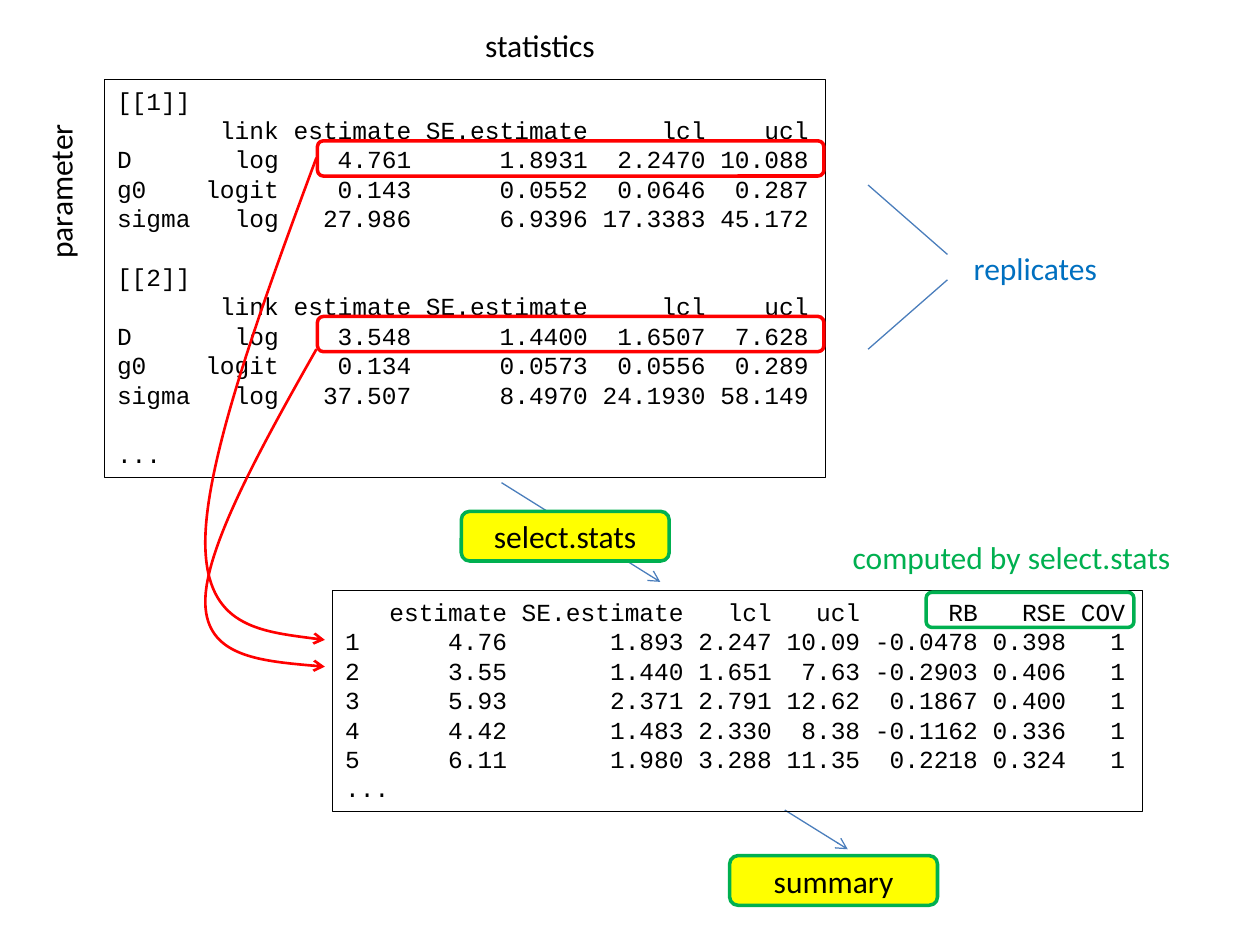
"""Build a slide showing how select.stats and summary condense simulation output."""
from lxml import etree
from pptx import Presentation
from pptx.dml.color import RGBColor
from pptx.enum.shapes import MSO_CONNECTOR, MSO_SHAPE
from pptx.enum.text import MSO_ANCHOR, PP_ALIGN
from pptx.oxml.ns import qn
from pptx.util import Cm, Pt

RECT, ROUND = MSO_SHAPE.RECTANGLE, MSO_SHAPE.ROUNDED_RECTANGLE
LINE, MID = MSO_CONNECTOR.STRAIGHT, MSO_ANCHOR.MIDDLE
LEFT, CENTER = PP_ALIGN.LEFT, PP_ALIGN.CENTER
HUES = {"ink": "000000", "red": "FF0000", "green": "00B050", "yellow": "FFFF00",
        "blue": "0070C0", "steel": "4B7EBC"}
MONO, SANS = "Courier New", "Calibri"
LEAD = 16.8

FIT_COLS = (-5, 6, 9, 12, 8, 7)
FIT_HEAD = ("", "link", "estimate", "SE.estimate", "lcl", "ucl")
FITS = [
    [("D", "log", "4.761", "1.8931", "2.2470", "10.088"),
     ("g0", "logit", "0.143", "0.0552", "0.0646", "0.287"),
     ("sigma", "log", "27.986", "6.9396", "17.3383", "45.172")],
    [("D", "log", "3.548", "1.4400", "1.6507", "7.628"),
     ("g0", "logit", "0.134", "0.0573", "0.0556", "0.289"),
     ("sigma", "log", "37.507", "8.4970", "24.1930", "58.149")],
]
STAT_COLS = (-1, 10, 12, 6, 6, 8, 6, 4)
STATS = [
    ("", "estimate", "SE.estimate", "lcl", "ucl", "RB", "RSE", "COV"),
    ("1", "4.76", "1.893", "2.247", "10.09", "-0.0478", "0.398", "1"),
    ("2", "3.55", "1.440", "1.651", "7.63", "-0.2903", "0.406", "1"),
    ("3", "5.93", "2.371", "2.791", "12.62", "0.1867", "0.400", "1"),
    ("4", "4.42", "1.483", "2.330", "8.38", "-0.1162", "0.336", "1"),
    ("5", "6.11", "1.980", "3.288", "11.35", "0.2218", "0.324", "1"),
]
FLOWS = [(15.82, 16.33, 17.09, 17.12), (10.11, 9.73, 13.31, 11.73)]
RAYS = [(17.5, 3.73, 19.1, 5.13), (17.5, 7.04, 19.1, 5.64)]
FRAMES = [("red", 6.4, 2.84, 10.21), ("red", 6.4, 6.38, 10.21),
          ("green", 18.67, 11.94, 4.19)]
CURVES = [
    [(6.38, 3.18), (5.23, 6.27), (4.11, 9.37), (4.14, 11),
     (4.17, 12.62), (5.36, 12.75), (6.55, 12.9)],
    [(6.38, 7.04), (5.23, 9.07), (4.11, 11.1), (4.14, 12.17),
     (4.17, 13.23), (5.36, 13.34), (6.55, 13.44)],
]
LABELS = [("parameter", "ink", -0.41, 3.33, 3.25, 270),
          ("statistics", "ink", 9.53, 0.41, 2.74, 0),
          ("computed by select.stats", "green", 16.94, 10.72, 6.98, 0),
          ("replicates", "blue", 19.38, 4.9, 3.02, 0)]
STEPS = [("select.stats", 9.3, 10.31), ("summary", 14.71, 17.25)]


def rgb(hue):
    return RGBColor.from_string(HUES[hue])


def row(cells, cols):
    """Pad cells to fixed columns; a negative width aligns left."""
    return "".join(c.ljust(-w) if w < 0 else c.rjust(w) for c, w in zip(cells, cols))


def stroke(item, hue, width, arrow=False):
    item.line.color.rgb = rgb(hue)
    item.line.width = Pt(width)
    if arrow:
        etree.SubElement(item.line._get_or_add_ln(), qn("a:tailEnd"), type="arrow")


def block(kind, box, hue, width, fill=None):
    item = slide.shapes.add_shape(kind, *map(Cm, box))
    item.shadow.inherit = False
    if fill:
        item.fill.solid()
        item.fill.fore_color.rgb = rgb(fill)
    else:
        item.fill.background()
    stroke(item, hue, width)
    return item


def write(item, lines, face, size, hue="ink", align=LEFT, **frame):
    """Fill a shape with (text, space before) lines."""
    text = item.text_frame
    for key, val in {"word_wrap": False, **frame}.items():
        setattr(text, key, val)
    for num, (words, gap) in enumerate(lines):
        para = text.add_paragraph() if num else text.paragraphs[0]
        para.alignment, para.space_before = align, Pt(gap)
        if face == MONO:
            para.line_spacing = Pt(LEAD)
        run = para.add_run()
        run.text = words
        for key, val in {"name": face, "size": Pt(size)}.items():
            setattr(run.font, key, val)
        run.font.color.rgb = rgb(hue)


def link(ends, arrow):
    item = slide.shapes.add_connector(LINE, *map(Cm, ends))
    stroke(item, "steel", 0.75, arrow)
    etree.SubElement(item._element.spPr, qn("a:effectLst"))


def curve(points):
    """Draw a path whose points after the first form cubic triples."""
    spots = [(Cm(x), Cm(y)) for x, y in points]
    pen = slide.shapes.build_freeform(*spots[0])
    pen.add_line_segments(spots[1:], close=False)
    item = pen.convert_to_shape()
    item.shadow.inherit = False
    item.fill.background()
    stroke(item, "red", 1.5, True)
    track = item._element.find(".//" + qn("a:path"))
    legs = track.findall(qn("a:lnTo"))
    for at in range(0, len(legs), 3):
        bend = etree.SubElement(track, qn("a:cubicBezTo"))
        for leg in legs[at:at + 3]:
            bend.append(leg[0])
            track.remove(leg)


deck = Presentation()
deck.slide_width, deck.slide_height = Cm(25.4), Cm(19.05)
slide = deck.slides.add_slide(deck.slide_layouts[6])

for ends in FLOWS:
    link(ends, True)

lines = []
for num, fit in enumerate(FITS, 1):
    lines.append((f"[[{num}]]", LEAD if num > 1 else 0))
    lines += [(row(cells, FIT_COLS), 0) for cells in [FIT_HEAD] + fit]
lines.append(("...", LEAD))
write(block(RECT, (2.11, 1.6, 14.53, 8.03), "ink", 0.75), lines, MONO, 14,
      vertical_anchor=MSO_ANCHOR.TOP)

lines = [(row(cells, STAT_COLS), 0) for cells in STATS] + [("...", 0)]
write(block(RECT, (6.71, 11.91, 16.33, 4.45), "ink", 0.75), lines, MONO, 14,
      vertical_anchor=MSO_ANCHOR.TOP)

for hue, x, y, wide in FRAMES:
    block(ROUND, (x, y, wide, 0.71), hue, 2)
for points in CURVES:
    curve(points)
for words, hue, x, y, wide, turn in LABELS:
    label = slide.shapes.add_textbox(*map(Cm, (x, y, wide, 1.02)))
    label.rotation = turn
    write(label, [(words, 0)], SANS, 18, hue)
for words, x, y in STEPS:
    step = block(ROUND, (x, y, 4.19, 1), "green", 2, "yellow")
    write(step, [(words, 0)], SANS, 18, align=CENTER, word_wrap=True,
          vertical_anchor=MID)
for ends in RAYS:
    link(ends, False)

deck.save("out.pptx")
